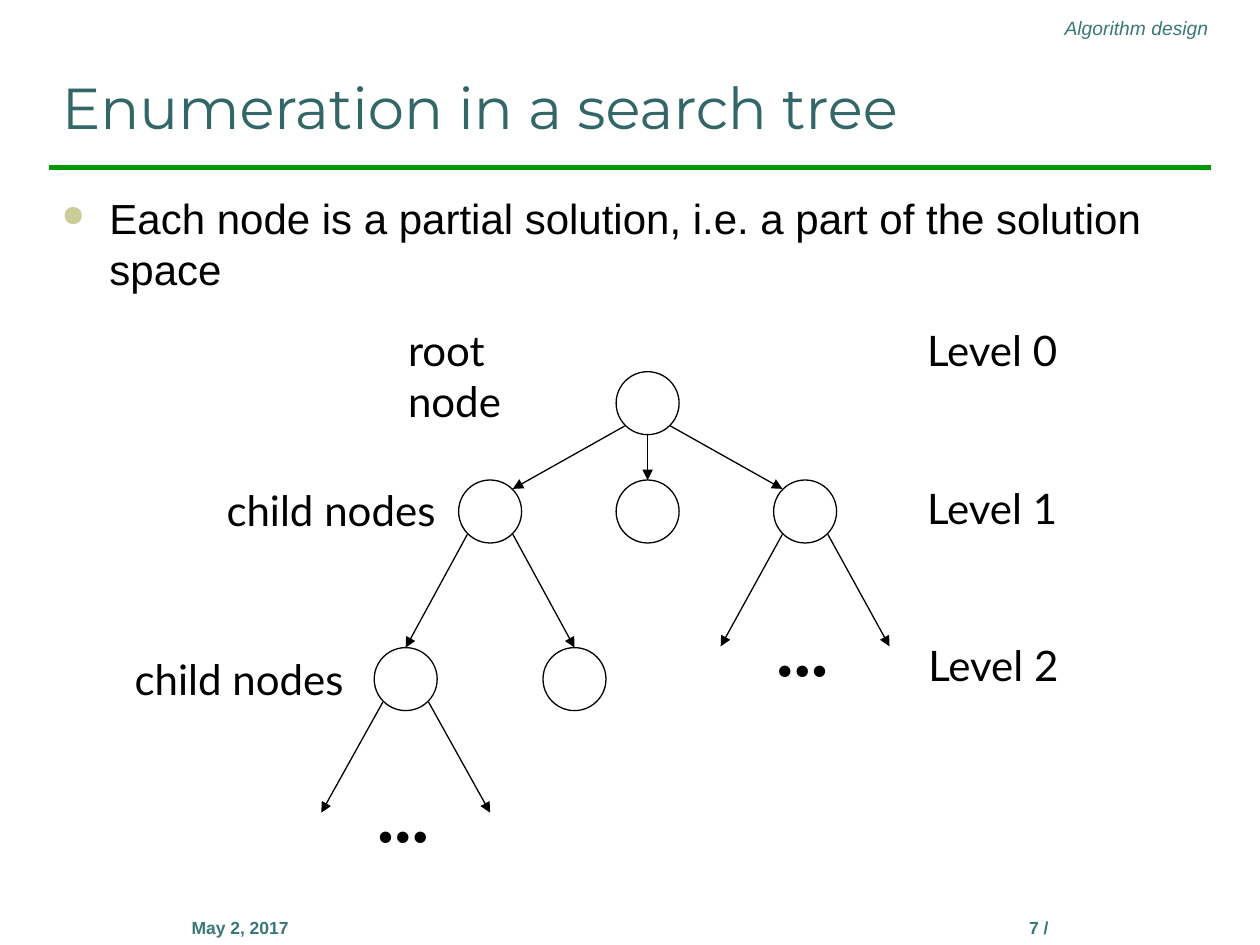
import lxml.etree
import pptx
import pptx.dml.color
import pptx.enum.shapes
import pptx.enum.text
import pptx.oxml.ns
import pptx.util

Inches = pptx.util.Inches
RGBColor = pptx.dml.color.RGBColor
ALIGN = pptx.enum.text.PP_ALIGN
ANCHOR = pptx.enum.text.MSO_ANCHOR

BLACK = RGBColor(0x00, 0x00, 0x00)
GREEN = RGBColor(0x00, 0x99, 0x00)
TEAL = RGBColor(0x3A, 0x78, 0x77)
DARK_TEAL = RGBColor(0x33, 0x66, 0x66)
BULLET_COLOR = RGBColor(0xCC, 0xCC, 0x99)

presentation = pptx.Presentation()
presentation.slide_width = Inches(10)
presentation.slide_height = Inches(7.5)
slide = presentation.slides.add_slide(presentation.slide_layouts[5])


def add_text(text, box, size, font_format, color=BLACK, align=ALIGN.LEFT, frame_format=None, shape=None):
    if shape is None:
        shape = slide.shapes.add_textbox(0, 0, 0, 0)
    for name, value in zip(("left", "top", "width", "height"), box):
        setattr(shape, name, Inches(value))
    frame = shape.text_frame
    frame.text = text
    frame.auto_size = pptx.enum.text.MSO_AUTO_SIZE.NONE
    for name, value in {"word_wrap": True, **(frame_format or {})}.items():
        setattr(frame, name, value)
    paragraph = frame.paragraphs[0]
    paragraph.alignment = align
    font = paragraph.runs[0].font
    for name, value in {"size": pptx.util.Pt(size), **font_format}.items():
        setattr(font, name, value)
    font.color.rgb = color
    return paragraph


def add_line(start, end, color=BLACK, width=0.75, arrow=True):
    line = slide.shapes.add_connector(
        pptx.enum.shapes.MSO_CONNECTOR.STRAIGHT, *[Inches(value) for value in (*start, *end)]
    )
    line.line.color.rgb = color
    line.line.width = pptx.util.Pt(width)
    if arrow:
        outline = line.line._get_or_add_ln()
        lxml.etree.SubElement(outline, pptx.oxml.ns.qn("a:tailEnd"), type="triangle")
    lxml.etree.SubElement(line._element.spPr, pptx.oxml.ns.qn("a:effectLst"))


add_line((0.39, 1.33), (9.61, 1.33), GREEN, 3, arrow=False)
add_text("Algorithm design", (4.22, 0.08, 5.47, 0.29), 11, {"name": "Arial", "italic": True}, TEAL, ALIGN.RIGHT)
for text, left in (("7 /", 7.12), ("May 2, 2017", 0.78)):
    add_text(text, (left, 7.23, 2.25, 0.5), 10, {"name": "Arial", "bold": True}, TEAL, ALIGN.CENTER)

add_text(
    "Enumeration in a search tree", (0.39, 0.23, 9.22, 0.94), 33, {"name": "Montserrat"}, DARK_TEAL,
    frame_format={"vertical_anchor": ANCHOR.BOTTOM}, shape=slide.shapes.title,
)

paragraph = add_text(
    "Each node is a partial solution, i.e. a part of the solution space",
    (0.39, 1.48, 9.22, 5.7), 24, {"name": "Arial"},
)
paragraph.space_before = pptx.util.Pt(4.8)
properties = paragraph._p.get_or_add_pPr()
properties.set("marL", str(Inches(0.38)))
properties.set("indent", str(-Inches(0.38)))
bullet_color = lxml.etree.SubElement(properties, pptx.oxml.ns.qn("a:buClr"))
lxml.etree.SubElement(bullet_color, pptx.oxml.ns.qn("a:srgbClr"), val=str(BULLET_COLOR))
lxml.etree.SubElement(properties, pptx.oxml.ns.qn("a:buSzPct"), val="70000")
lxml.etree.SubElement(properties, pptx.oxml.ns.qn("a:buChar"), char="●")

RADIUS = 0.25
DIAGONAL = 0.18
SPREAD = 0.67
root = (5.14, 3.2)
level_1 = [(root[0] + offset, 4.06) for offset in (-1.25, 0, 1.25)]
level_2 = [(level_1[0][0] + offset, 5.39) for offset in (-SPREAD, SPREAD)]

for x, y in [root, *level_1, *level_2]:
    node = slide.shapes.add_shape(
        pptx.enum.shapes.MSO_SHAPE.FLOWCHART_CONNECTOR,
        Inches(x - RADIUS), Inches(y - RADIUS), Inches(2 * RADIUS), Inches(2 * RADIUS),
    )
    node.shadow.inherit = False
    node.fill.background()
    node.line.color.rgb = BLACK
    node.line.width = pptx.util.Pt(0.75)

add_line((root[0], root[1] + RADIUS), (root[0], level_1[1][1] - RADIUS))
for side, (x, y) in ((-1, level_1[0]), (1, level_1[2])):
    add_line((root[0] + side * DIAGONAL, root[1] + DIAGONAL), (x - side * DIAGONAL, y - DIAGONAL))
for (x, y), drop in ((level_1[0], 1.08), (level_1[2], 1.07), (level_2[0], 1.06)):
    for side in (-1, 1):
        add_line((x + side * DIAGONAL, y + DIAGONAL), (x + side * SPREAD, y + drop))

no_margins = {f"margin_{side}": 0 for side in ("left", "top", "right", "bottom")}
for left, top in ((6.16, 4.81), (2.99, 6.13)):
    add_text(
        "...", (left, top, 0.42, 0.67), 40, {"name": "Times New Roman", "bold": True},
        frame_format={"vertical_anchor": ANCHOR.MIDDLE, "word_wrap": False, **no_margins},
    )

add_text("root node", (3.14, 2.53, 1.2, 0.9), 24, {"name": "Lato"})
for text, left, top, width in (
    ("child nodes", 1.7, 3.8, 1.86),
    ("child nodes", 0.97, 5.14, 1.86),
    ("Level 0", 7.26, 2.53, 1.25),
    ("Level 1", 7.26, 3.78, 1.25),
    ("Level 2", 7.27, 5.03, 1.25),
):
    add_text(text, (left, top, width, 0.5), 24, {"name": "Lato"}, frame_format={"word_wrap": False})

presentation.save("out.pptx")
